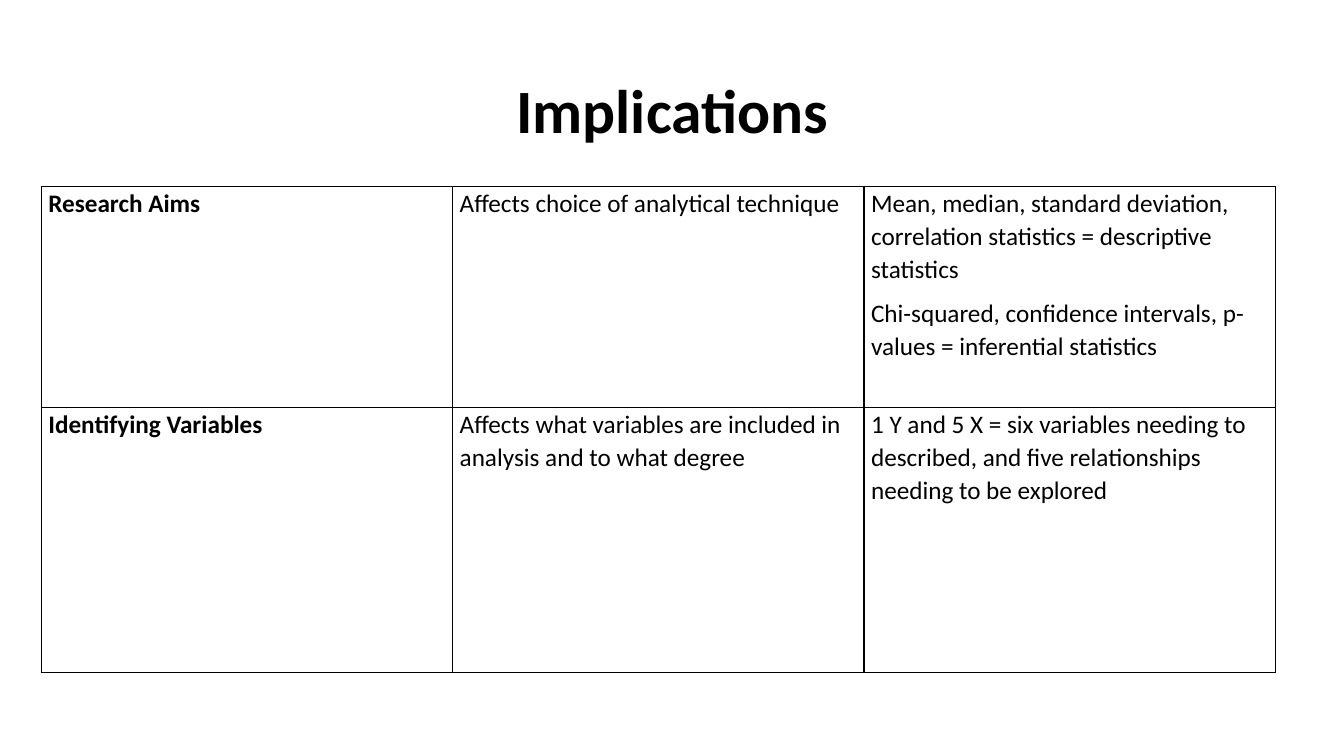
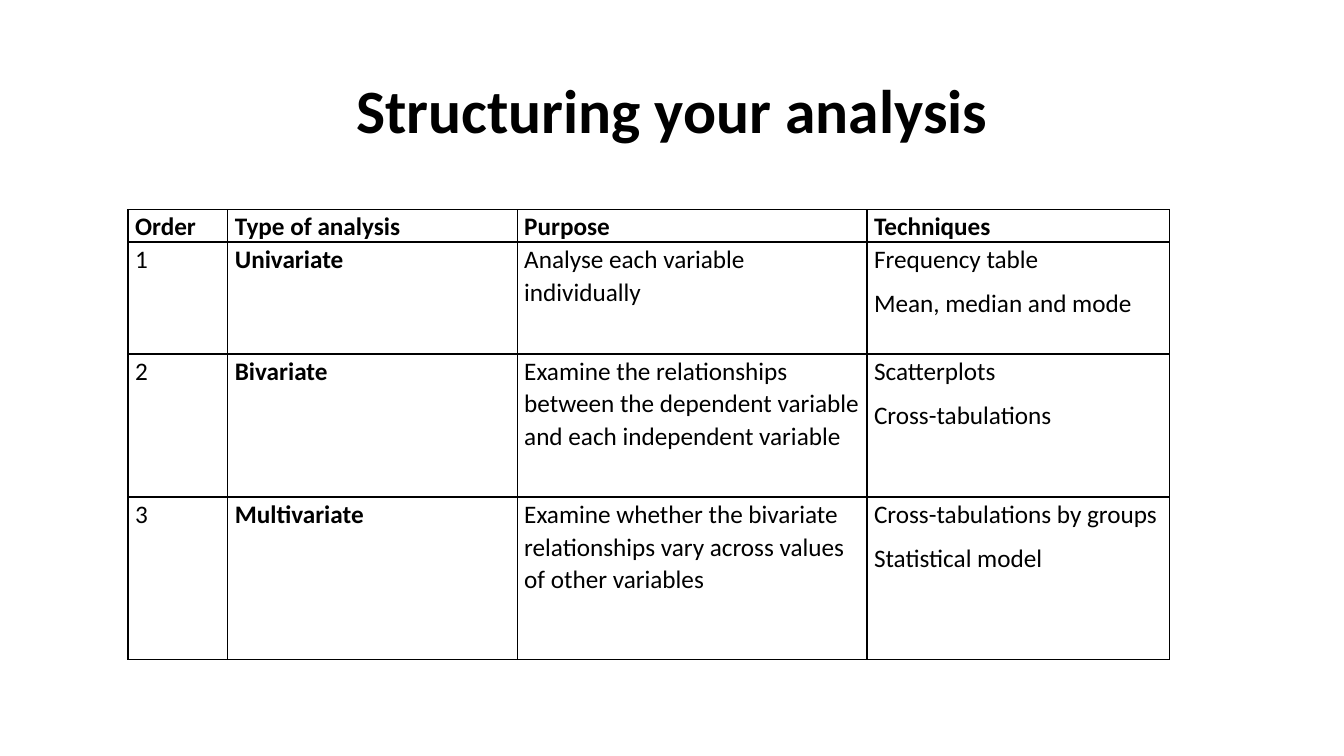
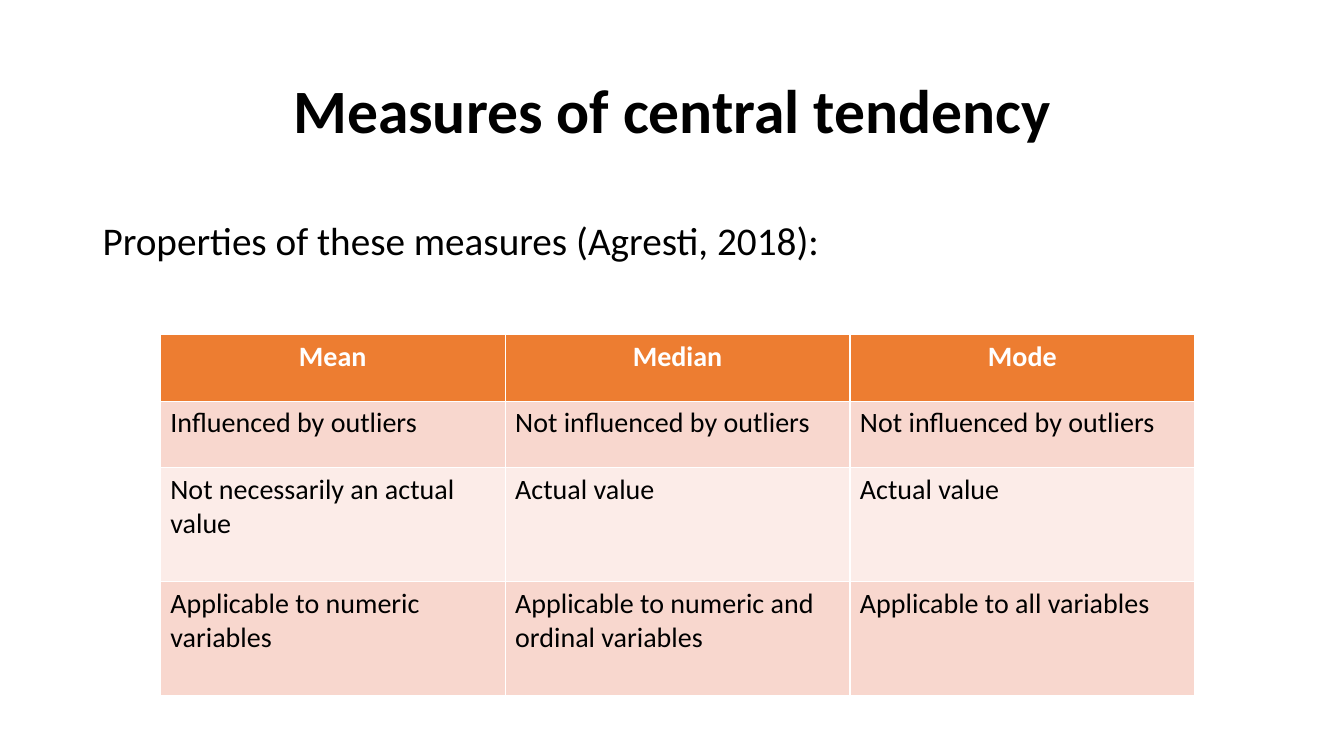
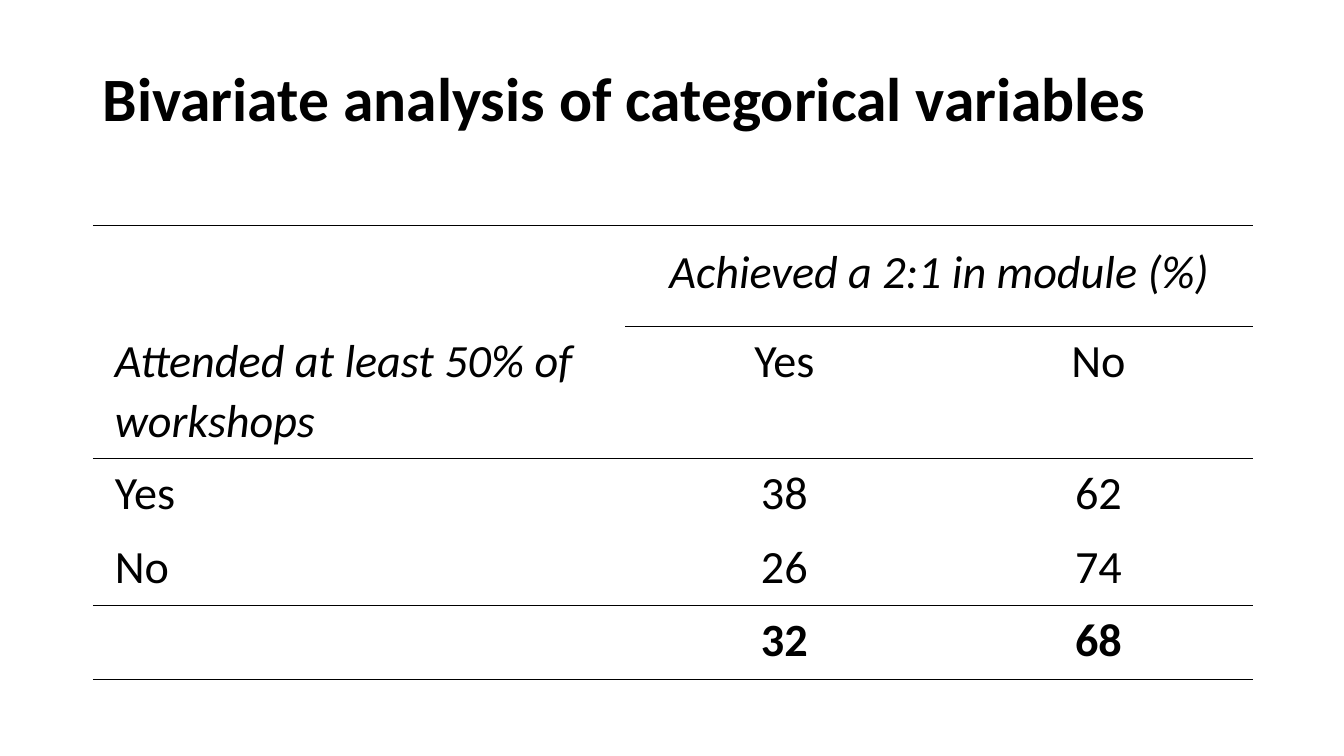
import pptx
import pptx.util
import pptx.dml.color
import pptx.enum.text
import pptx.oxml.ns
import lxml.etree

Inches = pptx.util.Inches
Pt = pptx.util.Pt
RGBColor = pptx.dml.color.RGBColor
ALIGN = pptx.enum.text.PP_ALIGN
ANCHOR = pptx.enum.text.MSO_ANCHOR
qn = pptx.oxml.ns.qn

BLACK = RGBColor(0x00, 0x00, 0x00)
WHITE = RGBColor(0xFF, 0xFF, 0xFF)
ORANGE = RGBColor(0xED, 0x7D, 0x31)
BAND_DARK = RGBColor(0xF8, 0xD7, 0xCE)
BAND_LIGHT = RGBColor(0xFC, 0xEC, 0xE8)
FONT = "Calibri"


def write(tf, text, size=18, color=BLACK, bold=False, italic=False,
          align=ALIGN.LEFT, spacing=None, before=None, after=None):
    for i, line in enumerate(text.split("\n")):
        p = tf.add_paragraph() if i else tf.paragraphs[0]
        p.alignment = align
        if spacing is not None:
            p.line_spacing = spacing
        if before is not None:
            p.space_before = Pt(before)
        if after is not None:
            p.space_after = Pt(after)
        r = p.add_run()
        r.text = line
        r.font.name = FONT
        r.font.size = Pt(size)
        r.font.bold = bold
        r.font.italic = italic
        r.font.color.rgb = color


def set_borders(cell, drawn, color):
    tcPr = cell._tc.get_or_add_tcPr()
    for side in "LRTB":
        ln = lxml.etree.SubElement(tcPr, qn("a:ln" + side), w=str(Pt(1)))
        if side in drawn:
            fill = lxml.etree.SubElement(ln, qn("a:solidFill"))
            lxml.etree.SubElement(fill, qn("a:srgbClr"), val=str(color))
        else:
            lxml.etree.SubElement(ln, qn("a:noFill"))


class Deck:
    def __init__(self):
        self.prs = pptx.Presentation()
        self.prs.slide_width = Inches(13.33)
        self.prs.slide_height = Inches(7.5)
        self.slide = None

    def new_slide(self, title, box=(0.92, 0.4, 11.5, 1.45),
                  align=ALIGN.CENTER, anchor=ANCHOR.MIDDLE):
        self.slide = self.prs.slides.add_slide(self.prs.slide_layouts[6])
        self.text(title, box, anchor, size=44, bold=True, align=align, spacing=0.9)

    def text(self, text, box, anchor=ANCHOR.TOP, **fmt):
        sp = self.slide.shapes.add_textbox(*map(Inches, box))
        tf = sp.text_frame
        tf.word_wrap = True
        tf.vertical_anchor = anchor
        write(tf, text, **fmt)

    def table(self, left, top, cols, heights, rows, fmt, fills=None, margins=None,
              sides=lambda r, c: "LRTB", line=BLACK):
        frame = self.slide.shapes.add_table(
            len(heights), len(cols), Inches(left), Inches(top),
            Inches(sum(cols)), Inches(sum(heights)))
        tbl = frame.table
        tbl.first_row = tbl.horz_banding = False
        for col, width in zip(tbl.columns, cols):
            col.width = Inches(width)
        for r, (height, texts) in enumerate(zip(heights, rows)):
            tbl.rows[r].height = Inches(height)
            for c, text in enumerate(texts):
                cell = tbl.cell(r, c)
                if margins:
                    (cell.margin_left, cell.margin_top,
                     cell.margin_right, cell.margin_bottom) = map(Inches, margins)
                set_borders(cell, sides(r, c), line)
                if fills:
                    cell.fill.solid()
                    cell.fill.fore_color.rgb = fills[r]
                else:
                    cell.fill.background()
                if text:
                    write(cell.text_frame, text, **fmt(r, c))
        return tbl


GRID_MARGINS = (0.07, 0, 0.07, 0)
GRID_SPACING = dict(spacing=1.07, after=8)


def implications(deck):
    deck.new_slide("Implications")
    rows = [
        ("Research Aims", "Affects choice of analytical technique",
         "Mean, median, standard deviation, correlation statistics = descriptive statistics\n"
         "Chi-squared, confidence intervals, p-values = inferential statistics"),
        ("Identifying Variables",
         "Affects what variables are included in analysis and to what degree",
         "1 Y and 5 X = six variables needing to described, "
         "and five relationships needing to be explored"),
    ]
    deck.table(0.41, 1.85, [4.08] * 3, [2.19, 2.63], rows,
               lambda r, c: dict(bold=c == 0, **GRID_SPACING), margins=GRID_MARGINS)


def structure(deck):
    deck.new_slide("Structuring your analysis")
    rows = [
        ("Order", "Type of analysis", "Purpose", "Techniques"),
        ("1", "Univariate", "Analyse each variable individually",
         "Frequency table\nMean, median and mode"),
        ("2", "Bivariate",
         "Examine the relationships between the dependent variable "
         "and each independent variable",
         "Scatterplots\nCross-tabulations"),
        ("3", "Multivariate",
         "Examine whether the bivariate relationships vary across values of other variables",
         "Cross-tabulations by groups\nStatistical model"),
    ]
    deck.table(1.27, 2.08, [0.99, 2.87, 3.47, 3], [0.31, 1.11, 1.42, 1.61], rows,
               lambda r, c: dict(bold=r == 0 or c == 1, **GRID_SPACING),
               margins=GRID_MARGINS)


def central_tendency(deck):
    deck.new_slide("Measures of central tendency")
    deck.text("Properties of these measures (Agresti, 2018):", (0.92, 2, 11.5, 4.76),
              size=28, spacing=1.2, before=10, after=6)
    rows = [
        ("Mean", "Median", "Mode"),
        ("Influenced by outliers", "Not influenced by outliers",
         "Not influenced by outliers"),
        ("Not necessarily an actual value", "Actual value", "Actual value"),
        ("Applicable to numeric variables", "Applicable to numeric and ordinal variables",
         "Applicable to all variables"),
    ]
    header = dict(size=20, color=WHITE, bold=True, align=ALIGN.CENTER)
    deck.table(1.59, 3.32, [3.42] * 3, [0.66, 0.66, 1.13, 1.13], rows,
               lambda r, c: dict(size=20) if r else header,
               fills=[ORANGE, BAND_DARK, BAND_LIGHT, BAND_DARK], line=WHITE)


def categorical(deck):
    deck.new_slide("Bivariate analysis of categorical variables",
                   (0.92, 0.28, 11.49, 1.11), ALIGN.LEFT, ANCHOR.BOTTOM)
    rows = [
        ("", "Achieved a 2:1 in module (%)", ""),
        ("Attended at least 50% of workshops", "Yes", "No"),
        ("Yes", "38", "62"),
        ("No", "26", "74"),
        ("", "32", "68"),
    ]

    def ruled(edge, c):
        return edge in (0, 2, 4, 5) or (edge == 1 and c > 0)

    def sides(r, c):
        return "T" * ruled(r, c) + "B" * ruled(r + 1, c)

    def fmt(r, c):
        return dict(size=33, bold=r == 4, italic=(r, c) in ((0, 1), (1, 0)),
                    align=ALIGN.CENTER if c else ALIGN.LEFT, **GRID_SPACING)

    tbl = deck.table(0.92, 2.24, [5.28, 3.16, 3.07], [1, 1.31, 0.73, 0.73, 0.73],
                     rows, fmt, margins=(0.22, 0.03, 0.22, 0), sides=sides)
    head = tbl.cell(0, 1)
    head.merge(tbl.cell(0, 2))
    head.margin_left = head.margin_right = Inches(0.3)
    head.margin_top = head.margin_bottom = Inches(0.15)


def main():
    deck = Deck()
    for build in (implications, structure, central_tendency, categorical):
        build(deck)
    deck.prs.save("out.pptx")


if __name__ == "__main__":
    main()
